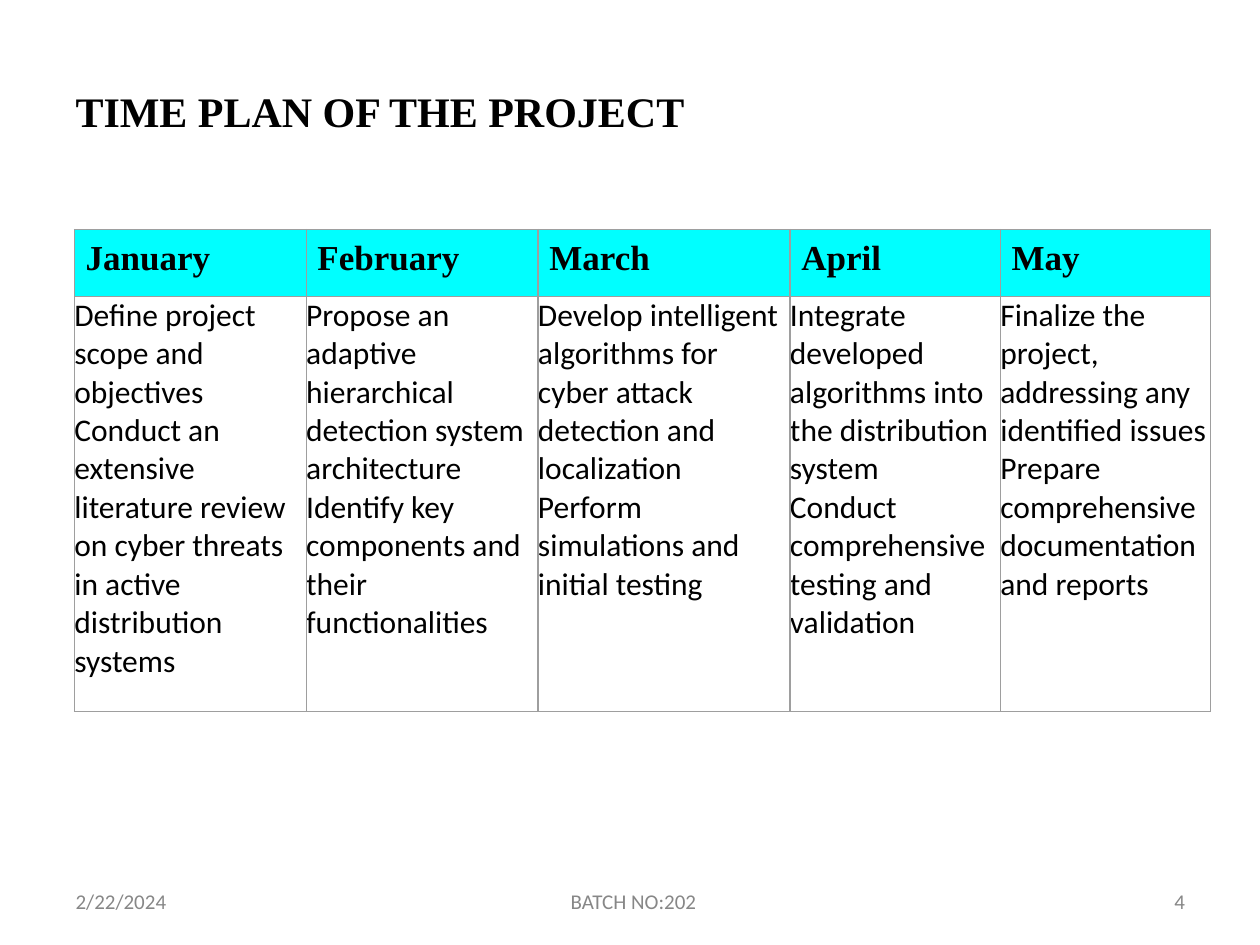
from lxml.etree import SubElement
from pptx import Presentation
from pptx.dml.color import RGBColor
from pptx.oxml.ns import qn
from pptx.util import Inches, Pt

COLORS = {"text": "000000", "footer": "878787", "header": "00FFFF", "border": "9E9E9E"}
HEAD_FONT, BODY_FONT = "Times New Roman", "Calibri"

PLAN = {
    "January": (1.84, [
        "Define project scope and objectives",
        "Conduct an extensive literature review on cyber threats in active distribution systems"]),
    "February": (1.84, [
        "Propose an adaptive hierarchical detection system architecture",
        "Identify key components and their functionalities"]),
    "March": (2, [
        "Develop intelligent algorithms for cyber attack detection and localization",
        "Perform simulations and initial testing"]),
    "April": (1.67, [
        "Integrate developed algorithms into the distribution system",
        "Conduct comprehensive testing and validation"]),
    "May": (1.67, [
        "Finalize the project, addressing any identified issues",
        "Prepare comprehensive documentation and reports"]),
}
ROW_HEIGHTS = (0.53, 3.3)


class SlideBuilder:
    def __init__(self, prs):
        self.s = prs.slides.add_slide(prs.slide_layouts[6])

    def style(self, tf, size, font=BODY_FONT, color="text", bold=False, before=0, spacing=None):
        for p in tf.paragraphs:
            p.space_before = Pt(before)
            if spacing:
                p.line_spacing = Pt(spacing)
            for r in p.runs:
                r.font.size = Pt(size)
                r.font.name = font
                r.font.bold = bold
                r.font.color.rgb = RGBColor.from_string(COLORS[color])

    def margins(self, target, left=0, top=0):
        target.margin_left, target.margin_top = Inches(left), Inches(top)
        target.margin_right = target.margin_bottom = 0

    def text(self, text, x, y, w, h, left=0.01, top=0, **style):
        tf = self.s.shapes.add_textbox(Inches(x), Inches(y), Inches(w), Inches(h)).text_frame
        tf.word_wrap = True
        self.margins(tf, left, top)
        tf.text = text
        self.style(tf, **style)

    def borders(self, cell):
        tcPr = cell._tc.get_or_add_tcPr()
        for side in ("lnL", "lnR", "lnT", "lnB"):
            ln = SubElement(tcPr, qn(f"a:{side}"), w=str(Pt(0.75)))
            fill = SubElement(ln, qn("a:solidFill"))
            SubElement(fill, qn("a:srgbClr"), val=COLORS["border"])

    def cell(self, cell, text, fill=None, left=0, top=0, **style):
        self.borders(cell)
        if fill:
            cell.fill.solid()
            cell.fill.fore_color.rgb = RGBColor.from_string(COLORS[fill])
        else:
            cell.fill.background()
        self.margins(cell, left, top)
        cell.text_frame.text = text
        self.style(cell.text_frame, **style)

    def table(self, plan, x, y):
        width = sum(w for w, _ in plan.values())
        table = self.s.shapes.add_table(2, len(plan), Inches(x), Inches(y), Inches(width),
                                        Inches(sum(ROW_HEIGHTS))).table
        table.horz_banding = False
        table.first_row = False
        for row, height in zip(table.rows, ROW_HEIGHTS):
            row.height = Inches(height)
        for i, (month, (w, tasks)) in enumerate(plan.items()):
            table.columns[i].width = Inches(w)
            self.cell(table.cell(0, i), month, fill="header", left=0.09, top=0.08,
                      size=20, font=HEAD_FONT, bold=True, before=6)
            self.cell(table.cell(1, i), "\n".join(tasks), size=18)


def main():
    prs = Presentation()
    prs.slide_width, prs.slide_height = Inches(10), Inches(7.5)
    slide = SlideBuilder(prs)
    for text, x, w, left in (("2/22/2024", 0.59, 0.8, 0.01),
                             ("BATCH NO:202", 4.52, 1.07, 0.01),
                             ("4", 9.29, 0.14, 0.03)):
        slide.text(text, x, 7.08, w, 0.19, left=left, size=12, color="footer", spacing=12.4)
    slide.text("TIME PLAN OF THE PROJECT", 0.59, 0.67, 4.9, 0.43, top=0.01,
               size=24, font=HEAD_FONT, bold=True, before=1)
    slide.table(PLAN, 0.59, 1.82)
    prs.save("out.pptx")


if __name__ == "__main__":
    main()
